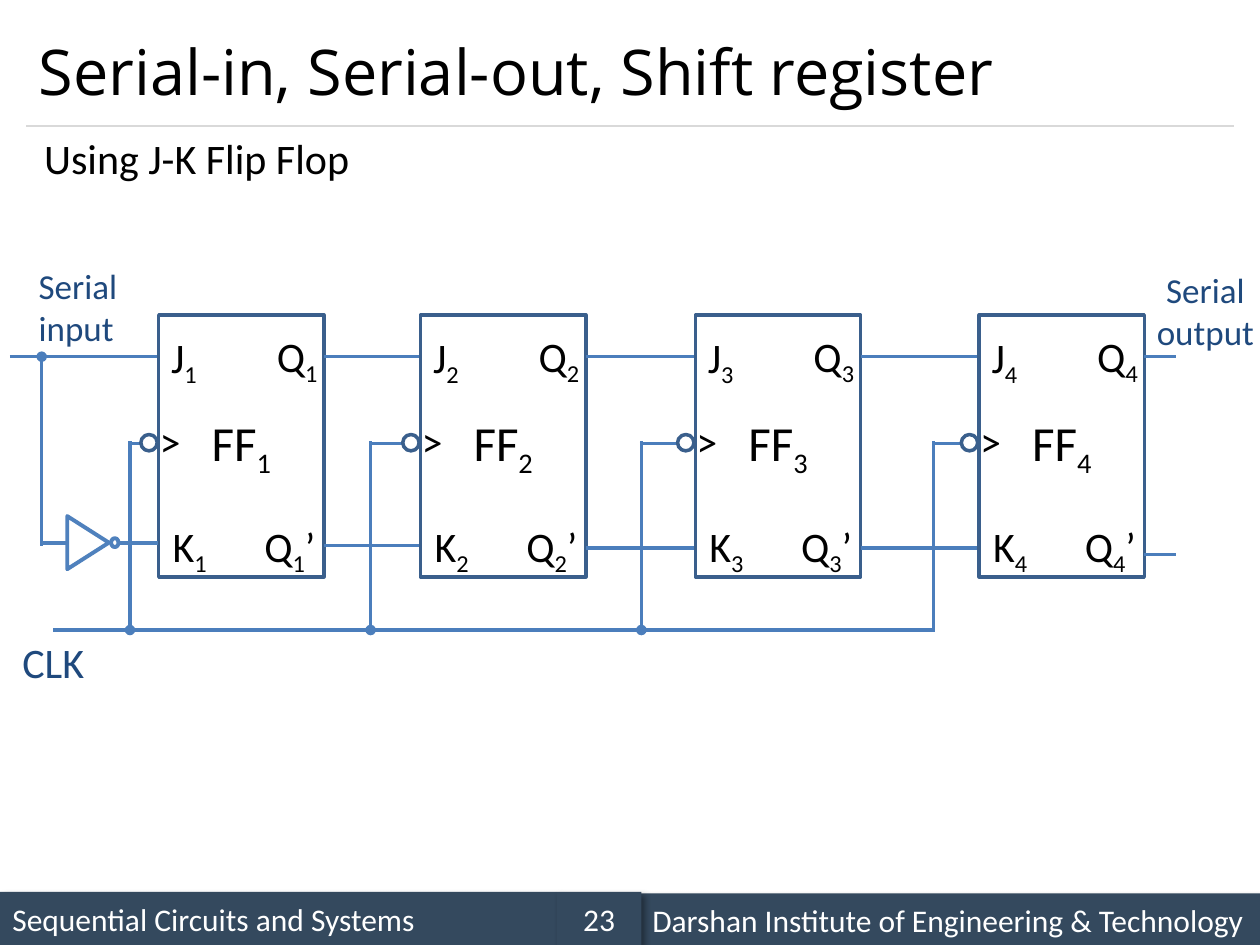
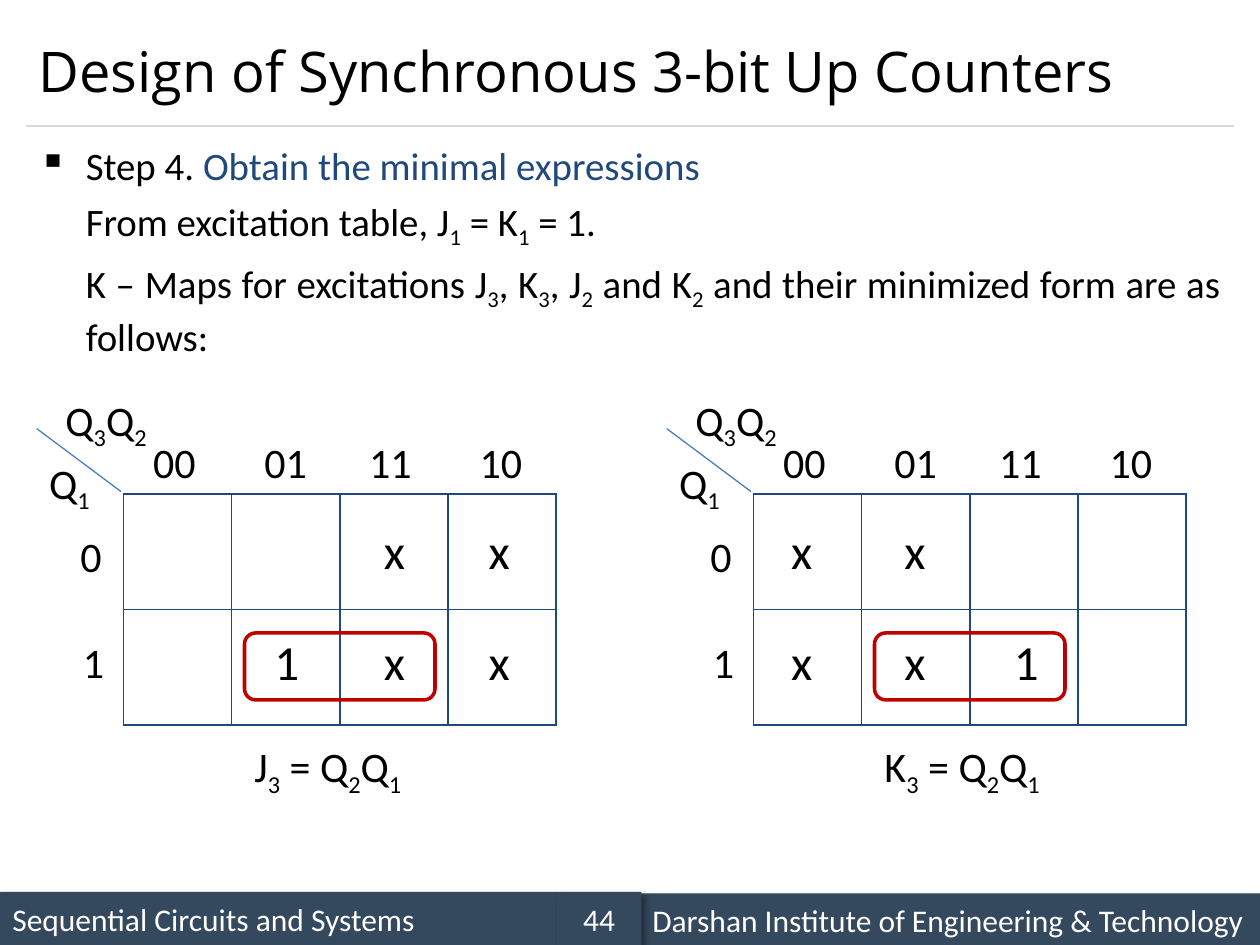
from lxml import etree
from pptx import Presentation
from pptx.dml.color import RGBColor
from pptx.enum.shapes import MSO_CONNECTOR, MSO_SHAPE
from pptx.enum.text import MSO_ANCHOR, MSO_AUTO_SIZE, PP_ALIGN
from pptx.oxml.ns import qn
from pptx.util import Cm, Pt

RECT, OVAL, TRIANGLE = MSO_SHAPE.RECTANGLE, MSO_SHAPE.OVAL, MSO_SHAPE.ISOSCELES_TRIANGLE
LOOP = MSO_SHAPE.FLOWCHART_ALTERNATE_PROCESS
STRAIGHT = MSO_CONNECTOR.STRAIGHT
TOP, MIDDLE = MSO_ANCHOR.TOP, MSO_ANCHOR.MIDDLE
LEFT, CENTER, JUSTIFY = PP_ALIGN.LEFT, PP_ALIGN.CENTER, PP_ALIGN.JUSTIFY
FIT, FIXED = MSO_AUTO_SIZE.SHAPE_TO_FIT_TEXT, MSO_AUTO_SIZE.NONE

BLACK, WHITE, NAVY, BAND = "000000", "FFFFFF", "1F497D", "34495E"
WIRE, BOX, GATE, RED, RULE = "4B7EBC", "3A5F8C", "4F81BD", "C00000", "D9D9D9"


def rgb(value):
    return RGBColor.from_string(value)


def sub(parent, tag, **attrs):
    return etree.SubElement(parent, qn(tag), attrs)


def write(p, text, size=24, color=BLACK, font="Calibri", align=None):
    """Append text to a paragraph; "_" makes the next character a subscript."""
    if align is not None:
        p.alignment = align
    first, *rest = text.split("_")
    pieces = [(first, False)]
    for part in rest:
        pieces += [(part[0], True), (part[1:], False)]
    for piece, lowered in pieces:
        if not piece:
            continue
        r = p.add_run()
        r.text = piece
        r.font.size, r.font.name = Pt(size), font
        r.font.color.rgb = rgb(color)
        if lowered:
            r._r.get_or_add_rPr().set("baseline", "-25000")


class Deck:
    """Holds the presentation, its shared style and the current slide."""

    def __init__(self):
        self.prs = Presentation()
        self.prs.slide_width, self.prs.slide_height = Cm(25.4), Cm(19.05)
        self.s = None

    def slide(self, title, number, title_size):
        self.s = self.prs.slides.add_slide(self.prs.slide_layouts[6])
        self.band(0, 17.98, 11.23, "Sequential Circuits and Systems")
        self.line(0.53, 2.54, 24.87, 2.54, RULE, 0.75)
        self.band(12.9, 18.01, 12.5, "Darshan Institute of Engineering & Technology")
        self.band(11.23, 17.98, 1.7, number, CENTER)
        self.text(title, 0.53, 0.3, 24.33, 2.24, wrap=True, anchor=MIDDLE,
                  grow=False, size=title_size, font="Open Sans")

    def band(self, x, y, w, text, align=LEFT):
        sp = self.shape(RECT, x, y, w, 1.07, fill=BAND, line=None)
        effects = sp._element.spPr.find(qn("a:effectLst"))
        shadow = sub(effects, "a:outerShdw", blurRad=str(Pt(4)), dist=str(Pt(3)),
                     dir="2700000", algn="tl", rotWithShape="0")
        sub(sub(shadow, "a:srgbClr", val=BLACK), "a:alpha", val="40000")
        write(sp.text_frame.paragraphs[0], text, size=18, color=WHITE, align=align)

    def shape(self, kind, x, y, w, h, fill=None, line=BOX, width=2):
        sp = self.s.shapes.add_shape(kind, Cm(x), Cm(y), Cm(w), Cm(h))
        sp.shadow.inherit = False
        if fill:
            sp.fill.solid()
            sp.fill.fore_color.rgb = rgb(fill)
        else:
            sp.fill.background()
        if line:
            sp.line.color.rgb = rgb(line)
            sp.line.width = Pt(width)
        else:
            sp.line.fill.background()
        sp.text_frame.vertical_anchor = MIDDLE
        return sp

    def line(self, x1, y1, x2, y2, color=WIRE, width=2, dot=False):
        """Straight line, with an optional junction dot at its start."""
        c = self.s.shapes.add_connector(STRAIGHT, Cm(x1), Cm(y1), Cm(x2), Cm(y2))
        c.line.color.rgb = rgb(color)
        c.line.width = Pt(width)
        if dot:
            sub(c.line._get_or_add_ln(), "a:headEnd", type="oval")
        sub(c._element.spPr, "a:effectLst")

    def text(self, text, x, y, w, h=1.27, wrap=False, anchor=TOP, grow=True, **fmt):
        tf = self.s.shapes.add_textbox(Cm(x), Cm(y), Cm(w), Cm(h)).text_frame
        tf.word_wrap = wrap
        tf.auto_size = FIT if grow else FIXED
        tf.vertical_anchor = anchor
        write(tf.paragraphs[0], text, **fmt)
        return tf

    def grid(self, x, y, cols, rows, col_w, row_h):
        """Empty table with thin navy borders."""
        frame = self.s.shapes.add_table(rows, cols, Cm(x), Cm(y),
                                        Cm(cols * col_w), Cm(rows * row_h))
        table = frame.table
        table.first_row = table.horz_banding = False
        for col in table.columns:
            col.width = Cm(col_w)
        for row in table.rows:
            row.height = Cm(row_h)
        for cell in table.iter_cells():
            tcPr = cell._tc.get_or_add_tcPr()
            for side in ("a:lnL", "a:lnR", "a:lnT", "a:lnB"):
                ln = sub(tcPr, side, w=str(Pt(1)))
                sub(sub(ln, "a:solidFill"), "a:srgbClr", val=NAVY)
            cell.fill.background()


# Shift register
FF_W, FF_TOP, FF_H = 3.33, 6.35, 5.28
FF_X = [3.2, 8.48, 14.02, 19.74]
CLOCK_X = [2.62, 7.47, 12.93, 18.82]
DATA_Y, CLOCK_PIN_Y, CLOCK_Y = 7.19, 8.94, 12.7
INVERTED_Y = [11, 11.05, 11.05, 11.18]
OUT_X = 23.7
PINS = [("J_{}", 0, 6.55, 1.07), ("Q_{}", 2.13, 6.53, 1.37), (">", -0.23, 8.26, 0.94),
        ("K_{}", 0.03, 10.36, 1.24), ("Q_{}’", 1.88, 10.36, 1.6)]


def flip_flop(d, n, x):
    sp = d.shape(RECT, x, FF_TOP, FF_W, FF_H)
    write(sp.text_frame.paragraphs[0], f"FF_{n}", size=28, align=CENTER)
    for label, dx, y, w in PINS:
        d.text(label.format(n), x + dx, y, w)


def shift_register(d):
    d.slide("Serial-in, Serial-out, Shift register", "23", 36)
    d.text("Using J-K Flip Flop", 0.64, 2.54, 6.71)

    # Clock line and its branches
    d.line(1.07, CLOCK_Y, 18.85, CLOCK_Y)
    for x, ff_x in zip(CLOCK_X, FF_X):
        d.line(x, CLOCK_Y, x, CLOCK_PIN_Y - 0.05, dot=x != CLOCK_X[-1])
        d.line(x - 0.03, CLOCK_PIN_Y, ff_x - 0.3, CLOCK_PIN_Y)
    d.text("CLK", 0.2, CLOCK_Y, 1.78, color=NAVY)

    # Flip flops and the wires leaving them
    d.line(0.2, DATA_Y, FF_X[0], DATA_Y)
    next_x = FF_X[1:] + [OUT_X]
    for n, (x, end, low_y) in enumerate(zip(FF_X, next_x, INVERTED_Y), 1):
        flip_flop(d, n, x)
        d.shape(OVAL, x - 0.36, 8.76, 0.33, 0.33, fill=WHITE)
        for y in (DATA_Y, low_y):
            d.line(x + FF_W, y, end, y)

    # Inverter feeding K1
    d.line(0.84, DATA_Y, 0.84, 11, dot=True)
    for x1, x2 in ((0.84, 1.4), (2.41, 3.18)):
        d.line(x1, 10.95, x2, 10.95, GATE, 2.25)
    d.shape(OVAL, 2.24, 10.85, 0.15, 0.18, line=GATE, width=2.25)
    d.shape(TRIANGLE, 1.24, 10.52, 1.07, 0.84, line=GATE, width=2.25).rotation = 90

    # Input and output labels
    d.text("Serial input", 0.53, 5.21, 2.24, 1.78, wrap=True, size=20, color=NAVY)
    d.text("Serial output", 22.99, 5.28, 2.62, 1.96, wrap=True, size=20,
           color=NAVY, align=CENTER)


# Karnaugh maps
CODES = [("00", 2.84), ("01", 5.08), ("11", 7.19), ("10", 9.42)]
ROW_LABELS = [("0", 1.37, 10.57), ("1", 1.42, 12.7)]
MARK_X, MARK_Y = [3, 5.28, 7.49, 9.6], [10.36, 12.6]


def k_map(d, x, rows, result, result_w):
    d.grid(x + 2.49, 9.96, 4, 2, 2.18, 2.33)
    d.line(x + 2.44, 9.91, x + 0.74, 8.64, width=0.75)
    d.text("Q_3Q_2", x + 1.07, 7.82, 2.24)
    d.text("Q_1", x + 0.74, 9.09, 1.37)
    for code, dx in CODES:
        d.text(code, x + dx, 8.67, 1.37)
    for label, dx, y in ROW_LABELS:
        d.text(label, x + dx, y, 0.94)
    for marks, y in zip(rows, MARK_Y):
        for mark, dx in zip(marks, MARK_X):
            if mark:
                d.text(mark, x + dx, y, 0.97, 1.45, size=28)
    d.shape(LOOP, x + 4.93, 12.76, 3.84, 1.35, line=RED)
    d.text(result, x + 4.88, 14.81, result_w)


def counter_design(d):
    d.slide("Design of Synchronous 3-bit Up Counters", "44", 32)

    # Step text
    tf = d.text("Step 4. ", 0.53, 2.74, 24.33, 4.24, wrap=True, grow=False, size=22.2)
    write(tf.paragraphs[0], "Obtain the minimal expressions", size=22.2, color=NAVY)
    for line in ("From excitation table, J_1 = K_1 = 1.",
                 "K – Maps for excitations J_3, K_3, J_2 and K_2 "
                 "and their minimized form are as follows:"):
        p = tf.add_paragraph()
        p.space_before = Pt(5)
        write(p, line, size=22.2)
    for i, p in enumerate(tf.paragraphs):
        p.alignment = JUSTIFY
        pPr = p._p.get_or_add_pPr()
        pPr.set("marL", str(Cm(0.95)))
        pPr.set("indent", "0" if i else str(-Cm(0.95)))
        if i == 0:
            sub(pPr, "a:buChar", char="▪")

    # Maps for J3 and K3
    k_map(d, 0, [["", "", "x", "x"], ["", "1", "x", "x"]], "J_3 = Q_2Q_1", 3.61)
    k_map(d, 12.7, [["x", "x", "", ""], ["x", "x", "1", ""]], "K_3 = Q_2Q_1", 3.78)


def main():
    d = Deck()
    shift_register(d)
    counter_design(d)
    d.prs.save("out.pptx")


if __name__ == "__main__":
    main()
